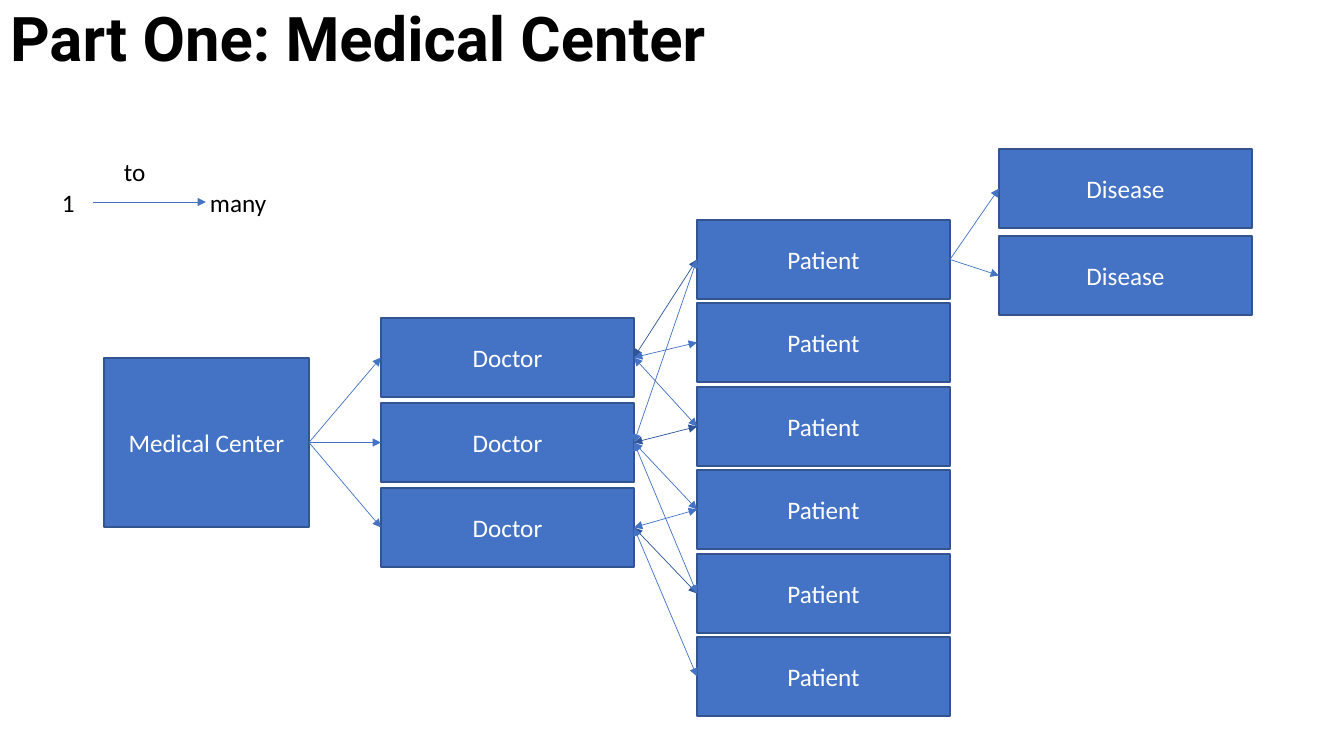
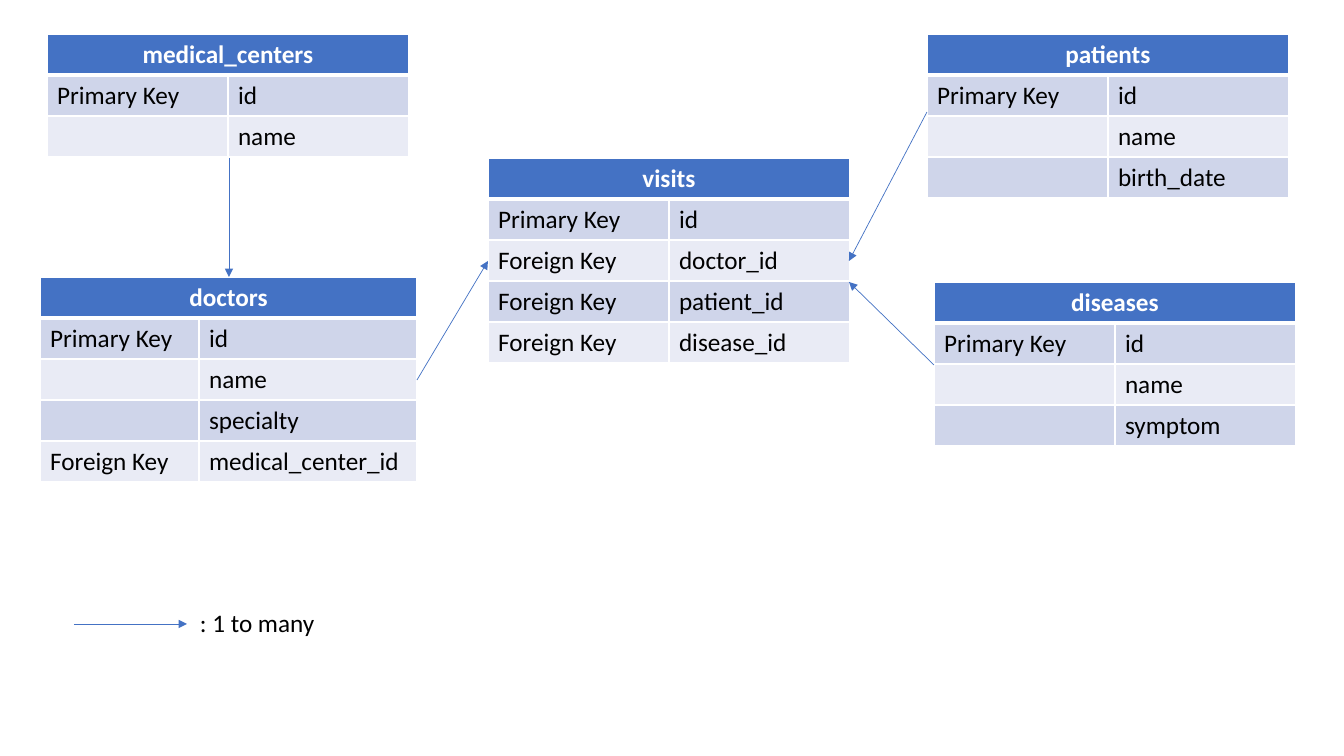
from lxml.etree import SubElement
from pptx import Presentation
from pptx.dml.color import RGBColor
from pptx.enum.shapes import MSO_CONNECTOR as Connector, MSO_SHAPE as Shape
from pptx.enum.text import MSO_ANCHOR as Anchor, PP_ALIGN as Align
from pptx.oxml.ns import qn
from pptx.util import Pt

# Shared look
PX = 914400 / 100.8
COLORS = {
    "blue": "4472C4",
    "outline": "325491",
    "navy": "2F5597",
    "band": "CFD5EA",
    "pale": "E9EBF5",
    "white": "FFFFFF",
    "black": "000000",
}
BODY_FONT, TITLE_FONT = "Calibri", "Roboto"
BOX_WIDTH, BOX_HEIGHT = 253, 79
ROW_HEIGHT = 41
TOP, LEFT, BOTTOM, RIGHT = range(4)

# Tables: left, top, column widths, rows of key and field
TABLES = {
    "medical_centers": (47, 34, (181, 181), [
        ("Primary Key", "id"), ("", "name")]),
    "doctors": (40, 277, (159, 218), [
        ("Primary Key", "id"), ("", "name"), ("", "specialty"),
        ("Foreign Key", "medical_center_id")]),
    "patients": (927, 34, (181, 181), [
        ("Primary Key", "id"), ("", "name"), ("", "birth_date")]),
    "diseases": (934, 282, (181, 181), [
        ("Primary Key", "id"), ("", "name"), ("", "symptom")]),
    "visits": (488, 158, (181, 181), [
        ("Primary Key", "id"), ("Foreign Key", "doctor_id"),
        ("Foreign Key", "patient_id"), ("Foreign Key", "disease_id")]),
}

# Doctor index, patient index, line colour
TREATMENTS = [
    (0, 0, "navy"), (0, 1, "blue"), (1, 2, "navy"), (1, 3, "blue"),
    (2, 4, "navy"), (2, 5, "blue"), (1, 0, "blue"), (0, 2, "blue"),
    (2, 3, "blue"), (1, 4, "blue"),
]


def px(*lengths):
    return [round(length * PX) for length in lengths]


def rgb(name):
    return RGBColor.from_string(COLORS[name])


def style_para(para, color, size=18, font=BODY_FONT, bold=False, align=Align.LEFT):
    para.alignment = align
    para.font.name = font
    para.font.size = Pt(size)
    para.font.bold = bold
    para.font.color.rgb = rgb(color)


def add_title(page, text):
    title = page.shapes.title
    title.left, title.top, title.width, title.height = px(0, 0, 1159, 146)
    frame = title.text_frame
    frame.text = text
    frame.vertical_anchor = Anchor.TOP
    frame.margin_top = px(8)[0]
    para = frame.paragraphs[0]
    style_para(para, "black", 44, TITLE_FONT, True)
    para.line_spacing = 0.9


def add_box(page, text, left, top, width=BOX_WIDTH, height=BOX_HEIGHT):
    box = page.shapes.add_shape(Shape.RECTANGLE, *px(left, top, width, height))
    box.shadow.inherit = False
    box.fill.solid()
    box.fill.fore_color.rgb = rgb("blue")
    box.line.color.rgb = rgb("outline")
    box.line.width = Pt(1)
    box.text_frame.text = text
    box.text_frame.vertical_anchor = Anchor.MIDDLE
    style_para(box.text_frame.paragraphs[0], "white", align=Align.CENTER)
    return box


def add_column(page, text, left, first_top, last_top, count):
    step = (last_top - first_top) / (count - 1)
    return [add_box(page, text, left, round(first_top + step * index))
            for index in range(count)]


def add_label(page, text, left, top, width):
    label = page.shapes.add_textbox(*px(left, top, width, 31))
    frame = label.text_frame
    frame.word_wrap = True
    frame.margin_left = frame.margin_top = frame.margin_right = frame.margin_bottom = 0
    frame.text = text
    style_para(frame.paragraphs[0], "black")


def add_arrow(page, start=(0, 0), end=(0, 0), color="blue", both_ways=False):
    arrow = page.shapes.add_connector(Connector.STRAIGHT, *px(*start, *end))
    arrow.line.color.rgb = rgb(color)
    arrow.line.width = Pt(0.5)
    properties = arrow.element.spPr
    line = properties.find(qn("a:ln"))
    for tag in ("a:headEnd", "a:tailEnd") if both_ways else ("a:tailEnd",):
        SubElement(line, qn(tag), type="triangle")
    SubElement(properties, qn("a:effectLst"))
    return arrow


def join_boxes(page, source, target, **style):
    arrow = add_arrow(page, **style)
    arrow.begin_connect(source, RIGHT)
    arrow.end_connect(target, LEFT)


def set_borders(cell, row):
    properties = cell._tc.get_or_add_tcPr()
    widths = {"L": 1, "R": 1, "T": 3 if row == 1 else 1, "B": 3 if row == 0 else 1}
    for index, (side, width) in enumerate(widths.items()):
        line = SubElement(properties, qn(f"a:ln{side}"), w=str(Pt(width)))
        fill = SubElement(line, qn("a:solidFill"))
        SubElement(fill, qn("a:srgbClr"), val=COLORS["white"])
        properties.insert(index, line)


def add_entity_table(page, name, left, top, widths, fields):
    rows = [(name, "")] + fields
    table = page.shapes.add_table(
        len(rows), len(widths),
        *px(left, top, sum(widths), ROW_HEIGHT * len(rows))).table
    for column, width in zip(table.columns, px(*widths)):
        column.width = width
    for row, texts in enumerate(rows):
        header = row == 0
        fill = "blue" if header else "band" if row % 2 else "pale"
        for column, text in enumerate(texts):
            cell = table.cell(row, column)
            cell.text = text
            cell.fill.solid()
            cell.fill.fore_color.rgb = rgb(fill)
            set_borders(cell, row)
            style_para(cell.text_frame.paragraphs[0],
                       "white" if header else "black", bold=header,
                       align=Align.CENTER if header else Align.LEFT)
    table.cell(0, 0).merge(table.cell(0, 1))


def build_relations(deck):
    page = deck.slides.add_slide(deck.slide_layouts[5])
    add_title(page, "Part One: Medical Center")

    # Boxes
    center = add_box(page, "Medical Center", 104, 358, 205, 169)
    doctors = add_column(page, "Doctor", 381, 318, 488, 3)
    patients = add_column(page, "Patient", 697, 220, 637, 6)
    diseases = add_column(page, "Disease", 999, 149, 236, 2)

    # Relations
    for doctor in doctors:
        join_boxes(page, center, doctor)
    for doctor, patient, color in TREATMENTS:
        join_boxes(page, doctors[doctor], patients[patient],
                   color=color, both_ways=True)
    for disease in diseases:
        join_boxes(page, patients[0], disease)

    # Legend
    add_arrow(page, (93, 202), (206, 202))
    add_label(page, "to", 124, 156, 40)
    add_label(page, "1", 62, 187, 25)
    add_label(page, "many", 210, 187, 80)


def build_schema(deck):
    page = deck.slides.add_slide(deck.slide_layouts[6])
    for name, layout in TABLES.items():
        add_entity_table(page, name, *layout)

    # Relations
    for start, end in [
        ((229, 158), (229, 277)),
        ((417, 380), (488, 261)),
        ((927, 112), (849, 261)),
        ((934, 365), (849, 282)),
    ]:
        add_arrow(page, start, end)

    # Legend
    add_arrow(page, (74, 624), (187, 624))
    add_label(page, ": 1 to many", 200, 607, 140)


def main():
    deck = Presentation()
    deck.slide_width, deck.slide_height = px(1344, 756)
    build_relations(deck)
    build_schema(deck)
    deck.save("out.pptx")


if __name__ == "__main__":
    main()
